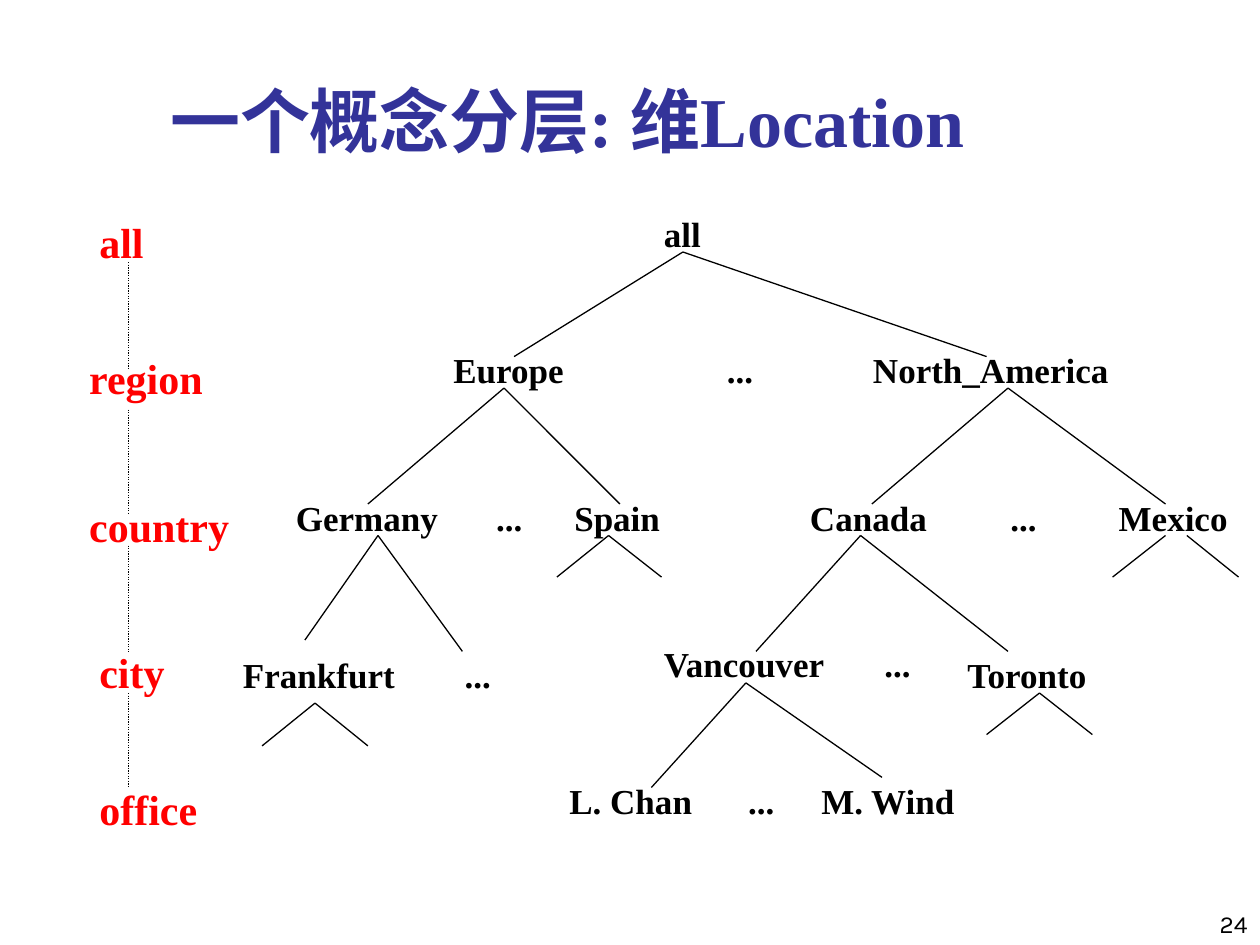
from dataclasses import dataclass

from lxml import etree
from pptx import Presentation
from pptx.dml.color import RGBColor
from pptx.enum import dml, shapes, text
from pptx.oxml.ns import qn
from pptx.util import Inches, Pt


@dataclass
class Theme:
    face: str = "Times New Roman"
    num_face: str = "Karla"
    head: str = "333399"
    level: str = "FF0000"
    ink: str = "000000"
    head_size: int = 40
    level_size: int = 24
    node_size: int = 20
    num_size: int = 14
    rule: float = 0.75


look = Theme()


def write(frame, words, size, color, face=look.face, bold=True,
          align=text.PP_ALIGN.LEFT, anchor=text.MSO_ANCHOR.TOP, wrap=True, grow=False):
    frame.word_wrap = wrap
    frame.auto_size = text.MSO_AUTO_SIZE.SHAPE_TO_FIT_TEXT if grow else text.MSO_AUTO_SIZE.NONE
    frame.vertical_anchor = anchor
    para = frame.paragraphs[0]
    para.alignment = align
    run = para.add_run()
    run.text = words
    run.font.size = Pt(size)
    run.font.name = face
    run.font.bold = bold
    run.font.color.rgb = RGBColor.from_string(color)


def link(start, end, dash=None):
    """Draw a thin straight line between two points in inches."""
    line = slide.shapes.add_connector(
        shapes.MSO_CONNECTOR.STRAIGHT, *map(Inches, (*start, *end)))
    line.line.width = Pt(look.rule)
    line.line.color.rgb = RGBColor.from_string(look.ink)
    if dash:
        line.line.dash_style = dash
    etree.SubElement(line._element.spPr, qn("a:effectLst"))


deck = Presentation()
deck.slide_width, deck.slide_height = Inches(10), Inches(7.5)
slide = deck.slides.add_slide(deck.slide_layouts[5])

title = slide.shapes.title
title.left, title.top, title.width, title.height = map(Inches, (1.25, 0.33, 8.5, 1))
write(title.text_frame, "一个概念分层: 维Location", look.head_size, look.head,
      anchor=text.MSO_ANCHOR.BOTTOM)

# Tree nodes, by row top: (words, left, width)
slack = 0.02  # keeps each label on one line
dots = "..."
gap = 0.41
nodes = {
    1.64: [("all", 5.17, 0.49)],
    2.72: [("Europe", 3.5, 1.08), (dots, 5.67, gap), ("North_America", 6.83, 2.07)],
    3.89: [("Germany", 2.25, 1.33), (dots, 3.84, gap), ("Spain", 4.46, 0.88),
           ("Canada", 6.33, 1.13), (dots, 7.92, gap), ("Mexico", 8.78, 1.06)],
    5.05: [("Vancouver", 5.17, 1.5), (dots, 6.92, gap)],
    5.14: [("Frankfurt", 1.83, 1.4), (dots, 3.59, gap), ("Toronto", 7.58, 1.17)],
    6.14: [("L. Chan", 4.42, 1.17), (dots, 5.84, gap), ("M. Wind", 6.42, 1.26)],
}
for top, row in nodes.items():
    for words, left, width in row:
        box = slide.shapes.add_textbox(*map(Inches, (left, top, width + slack, 0.44)))
        write(box.text_frame, words, look.node_size, look.ink, wrap=False, grow=True)

# Branches: parent point, then the child points
forks = [
    ((5.42, 2), (4.08, 2.83), (7.83, 2.83)),
    ((4, 3.08), (2.92, 4), (4.92, 4)),
    ((8, 3.08), (6.92, 4), (9.25, 4)),
    ((3, 4.25), (2.42, 5.08), (3.67, 5.17)),
    ((4.83, 4.25), (4.42, 4.58), (5.25, 4.58)),
    ((6.83, 4.25), (6, 5.17), (8, 5.17)),
    ((9.25, 4.25), (8.83, 4.58)),
    ((9.42, 4.25), (9.83, 4.58)),
    ((2.5, 5.58), (2.08, 5.92), (2.92, 5.92)),
    ((5.92, 5.42), (5.17, 6.25), (7, 6.17)),
    ((8.25, 5.5), (7.83, 5.83), (8.67, 5.83)),
]
for start, *ends in forks:
    for end in ends:
        link(start, end)

# Level names down the left side, joined by dotted lines
levels = [("all", 0.69, 1.67, 0.55), ("region", 0.61, 2.75, 1.1),
          ("country", 0.61, 3.92, 1.31), ("city", 0.69, 5.08, 0.72),
          ("office", 0.69, 6.17, 0.97)]
for words, left, top, width in levels:
    box = slide.shapes.add_textbox(*map(Inches, (left, top, width + slack, 0.5)))
    write(box.text_frame, words, look.level_size, look.level, wrap=False, grow=True)

axis = 1.02
for top, end in [(2.08, 2.92), (3.25, 4.08), (4.33, 5.17), (5.5, 6.25)]:
    link((axis, top), (axis, end), dash=dml.MSO_LINE.ROUND_DOT)

page = slide.shapes.add_textbox(*map(Inches, (7.92, 7, 2.08, 0.5)))
write(page.text_frame, "24", look.num_size, look.ink, face=look.num_face, bold=False,
      align=text.PP_ALIGN.RIGHT, anchor=text.MSO_ANCHOR.BOTTOM)

deck.save("out.pptx")
